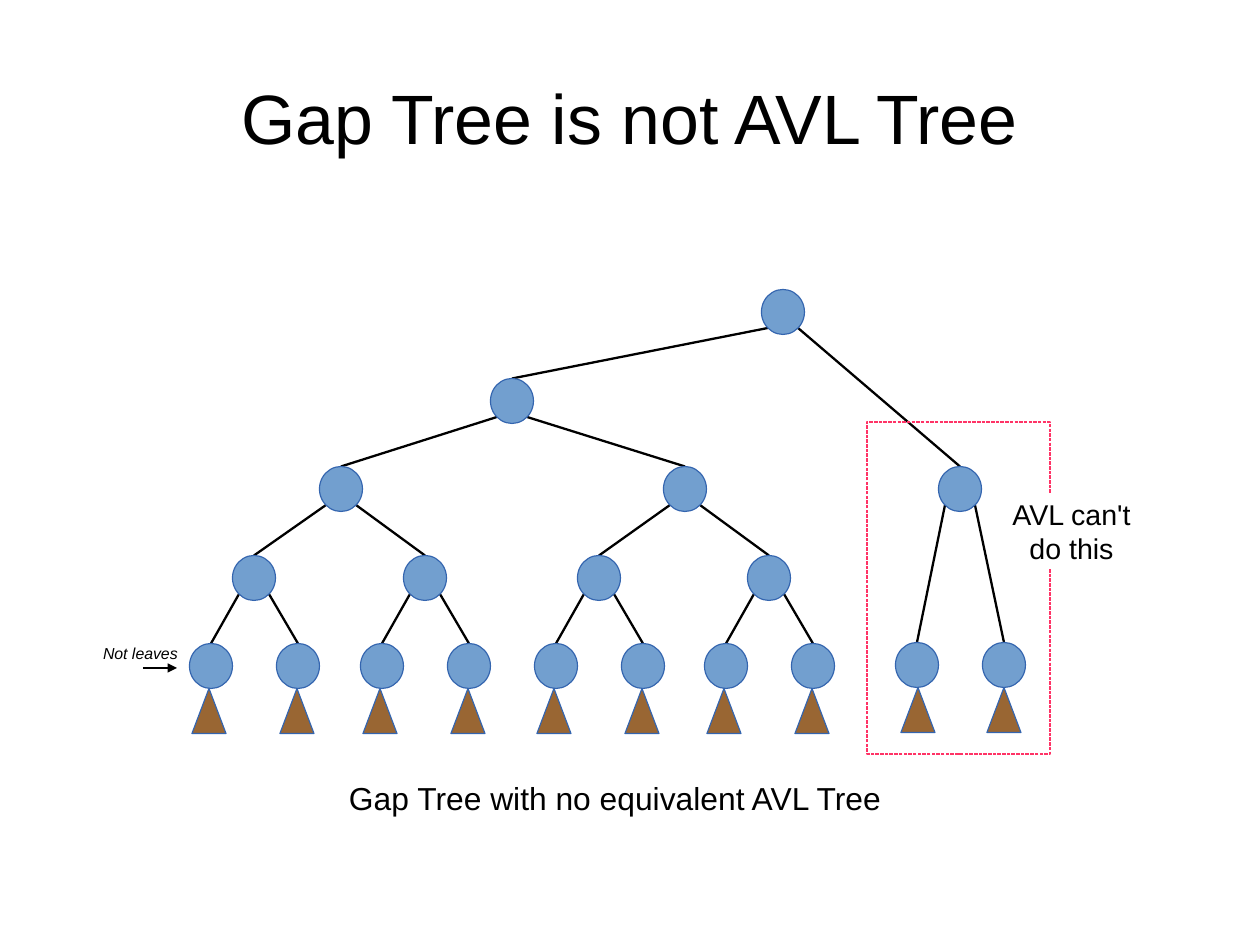
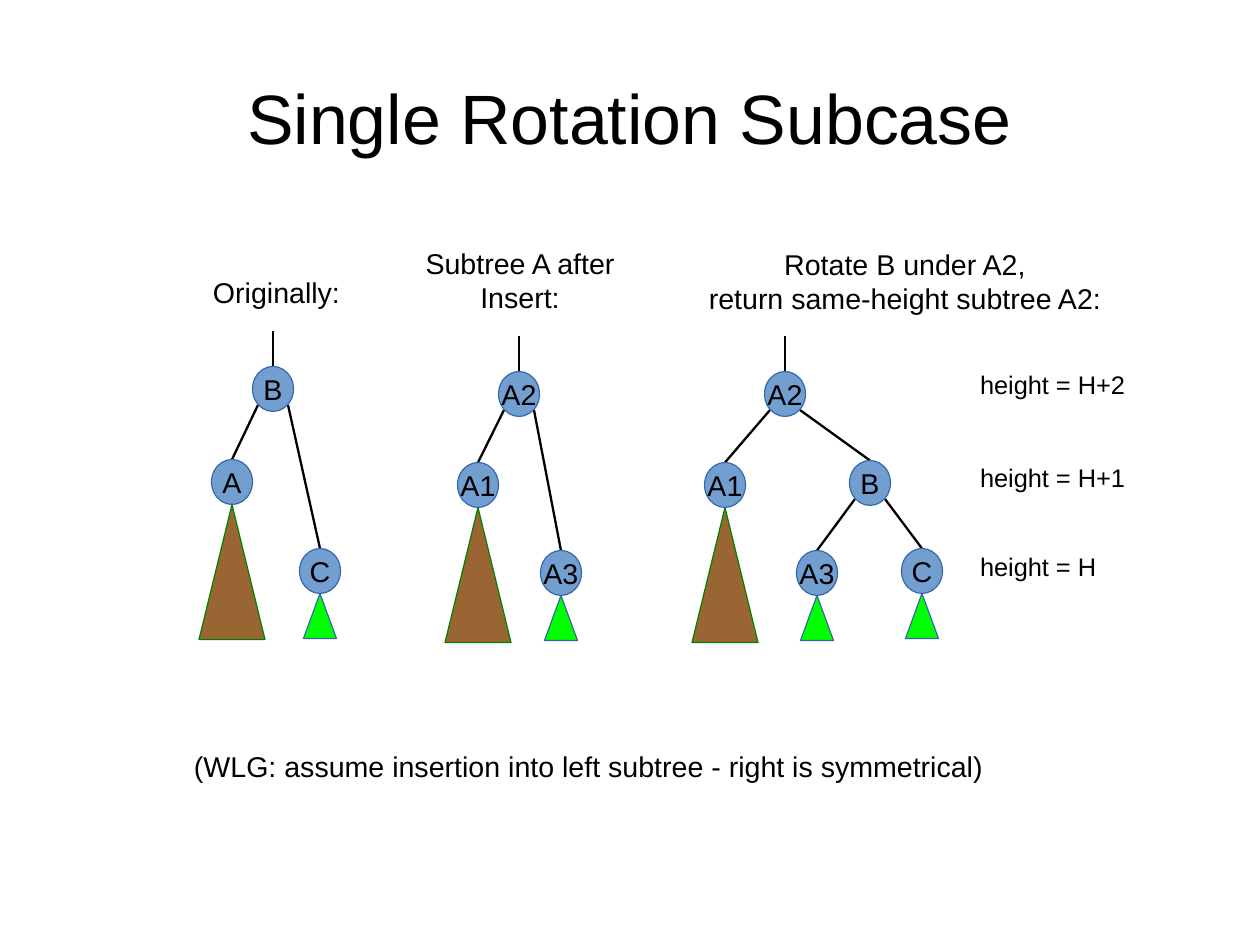
from lxml import etree
from pptx import Presentation
from pptx import util as u
from pptx.dml.color import RGBColor
from pptx.enum import dml, shapes, text
from pptx.oxml.ns import qn

SCALE = 8000
FONT = "Arial"
BLACK = RGBColor(0, 0, 0)
WHITE = RGBColor(255, 255, 255)
BLUE = RGBColor(0x72, 0x9F, 0xCF)
NAVY = RGBColor(0x34, 0x65, 0xAF)
BROWN = RGBColor(0x99, 0x66, 0x33)
GREEN = RGBColor(0, 0xFF, 0)
DARK = RGBColor(0, 0x80, 0)
PINK = RGBColor(0xFF, 0x33, 0x66)

LEFT = text.PP_ALIGN.LEFT
MID = text.PP_ALIGN.CENTER
SHAPE = shapes.MSO_SHAPE

SMALL = (34, 45, BROWN, NAVY)
TALL = (66, 135, BROWN, DARK)
SHORT = (33, 45, GREEN, NAVY)

TITLES = ["Gap Tree is not AVL Tree", "Single Rotation Subcase"]

INNER = [
    (783, 312, None), (512, 401, 0), (341, 489, 1), (685, 489, 1),
    (254, 578, 2), (425, 578, 2), (599, 578, 3), (769, 578, 3), (960, 489, 0),
]
PAIRS = [(4, 666, -2), (5, 666, -2), (6, 666, -2), (7, 666, -2), (8, 665, 1)]

TREES = [
    [("B", 273, 389, None, None), ("A", 232, 482, 0, TALL),
     ("C", 320, 571, 0, SHORT)],
    [("A2", 519, 394, None, None), ("A1", 478, 485, 0, TALL),
     ("A3", 561, 573, 0, SHORT)],
    [("A2", 785, 394, None, None), ("A1", 725, 485, 0, TALL),
     ("B", 870, 483, 0, None), ("A3", 817, 573, 2, SHORT),
     ("C", 922, 571, 2, SHORT)],
]

GAP_TEXT = [
    (["Not leaves"], 103, 644, 84, 20, 10, LEFT),
    (["Gap Tree with no equivalent AVL Tree"], 349, 779, 560, 40, 20, LEFT),
]
CASE_TEXT = [
    (["Originally:"], 213, 275, 150, 36, 18, LEFT),
    (["Subtree A after Insert:"], 423, 246, 194, 70, 18, MID),
    (["Rotate B under A2,", "return same-height subtree A2:"],
     690, 247, 430, 70, 18, MID),
    (["(WLG: assume insertion into left subtree - right is symmetrical)"],
     194, 749, 830, 36, 18, LEFT),
] + [([f"height = {h}"], 980, y, 220, 40, 16, LEFT)
     for h, y in [("H+2", 369), ("H+1", 462), ("H", 551)]]


def px(*vals):
    return [u.Emu(round(v * SCALE)) for v in vals]


def write(shape, lines, size, align=MID, wrap=True, mid=True):
    frame = shape.text_frame
    frame.word_wrap = wrap
    frame.margin_left = frame.margin_right = 0
    frame.margin_top = frame.margin_bottom = 0
    frame.vertical_anchor = (text.MSO_ANCHOR.MIDDLE if mid
                             else text.MSO_ANCHOR.TOP)
    for i, line in enumerate(lines):
        para = frame.add_paragraph() if i else frame.paragraphs[0]
        para.text = line
        para.alignment = align
        para.font.size = u.Pt(size)
        para.font.name = FONT
        para.font.color.rgb = BLACK


def label(slide, lines, x, y, w, h, size, align, mid=False):
    box = slide.shapes.add_textbox(*px(x, y, w, h))
    write(box, lines, size, align, mid=mid)
    return box


def draw(slide, kind, x, y, w, h, fill, edge):
    shape = slide.shapes.add_shape(kind, *px(x, y, w, h))
    shape.shadow.inherit = False
    if fill is None:
        shape.fill.background()
    else:
        shape.fill.solid()
        shape.fill.fore_color.rgb = fill
    shape.line.color.rgb = edge
    shape.line.width = 0
    return shape


def link(slide, x1, y1, x2, y2, arrow=False):
    line = slide.shapes.add_connector(
        shapes.MSO_CONNECTOR.STRAIGHT, *px(x1, y1, x2, y2))
    line.line.color.rgb = BLACK
    line.line.width = u.Pt(1.45)
    props = line.line._get_or_add_ln()
    if arrow:
        etree.SubElement(props, qn("a:tailEnd"), type="triangle")
    etree.SubElement(props.getparent(), qn("a:effectLst"))


def tree(slide, nodes, wide):
    tall = 45
    for name, x, y, up, cone, lean in nodes:
        if up is not None:
            px1, py1 = nodes[up][1:3]
            side = 15 if x > px1 else -15
            link(slide, px1 + side, py1 + 16, x, y - tall / 2)
    for name, x, y, up, cone, lean in nodes:
        if cone:
            w, h, fill, edge = cone
            draw(slide, SHAPE.ISOSCELES_TRIANGLE,
                 x + lean - w / 2, y + 22.5, w, h, fill, edge)
    for name, x, y, up, cone, lean in nodes:
        ball = draw(slide, SHAPE.OVAL, x - wide / 2, y - tall / 2,
                    wide, tall, BLUE, NAVY)
        if name:
            write(ball, [name], 18, wrap=False)


def start(deck, title):
    slide = deck.slides.add_slide(deck.slide_layouts[6])
    label(slide, [title], 63, 38, 1134, 158, 44, MID, True)
    return slide


def gap(slide):
    nodes = [("", x, y, up, None, 0) for x, y, up in INNER]
    for up, y, lean in PAIRS:
        x = INNER[up][0]
        nodes += [("", x - 43, y, up, SMALL, lean),
                  ("", x + 44, y, up, SMALL, min(lean + 1, 0))]
    tree(slide, nodes, 43)
    note, _ = [label(slide, *item) for item in GAP_TEXT]
    note.text_frame.paragraphs[0].font.italic = True
    link(slide, 143, 668, 177, 668, True)
    frame = draw(slide, SHAPE.RECTANGLE, 867, 422, 183, 332, None, PINK)
    frame.line.dash_style = dml.MSO_LINE.SQUARE_DOT
    claim = label(slide, ["AVL can't", "do this"],
                  1001, 493, 141, 76, 18, MID, True)
    claim.fill.solid()
    claim.fill.fore_color.rgb = WHITE


def case(slide):
    for nodes in TREES:
        x, y = nodes[0][1:3]
        link(slide, x, y - 22, x, y - 58)
        tree(slide, [node + (0,) for node in nodes], 41)
    for item in CASE_TEXT:
        label(slide, *item)


def main():
    deck = Presentation()
    deck.slide_width, deck.slide_height = px(1260, 945)
    for title, fill in zip(TITLES, (gap, case)):
        fill(start(deck, title))
    deck.save("out.pptx")


if __name__ == "__main__":
    main()
